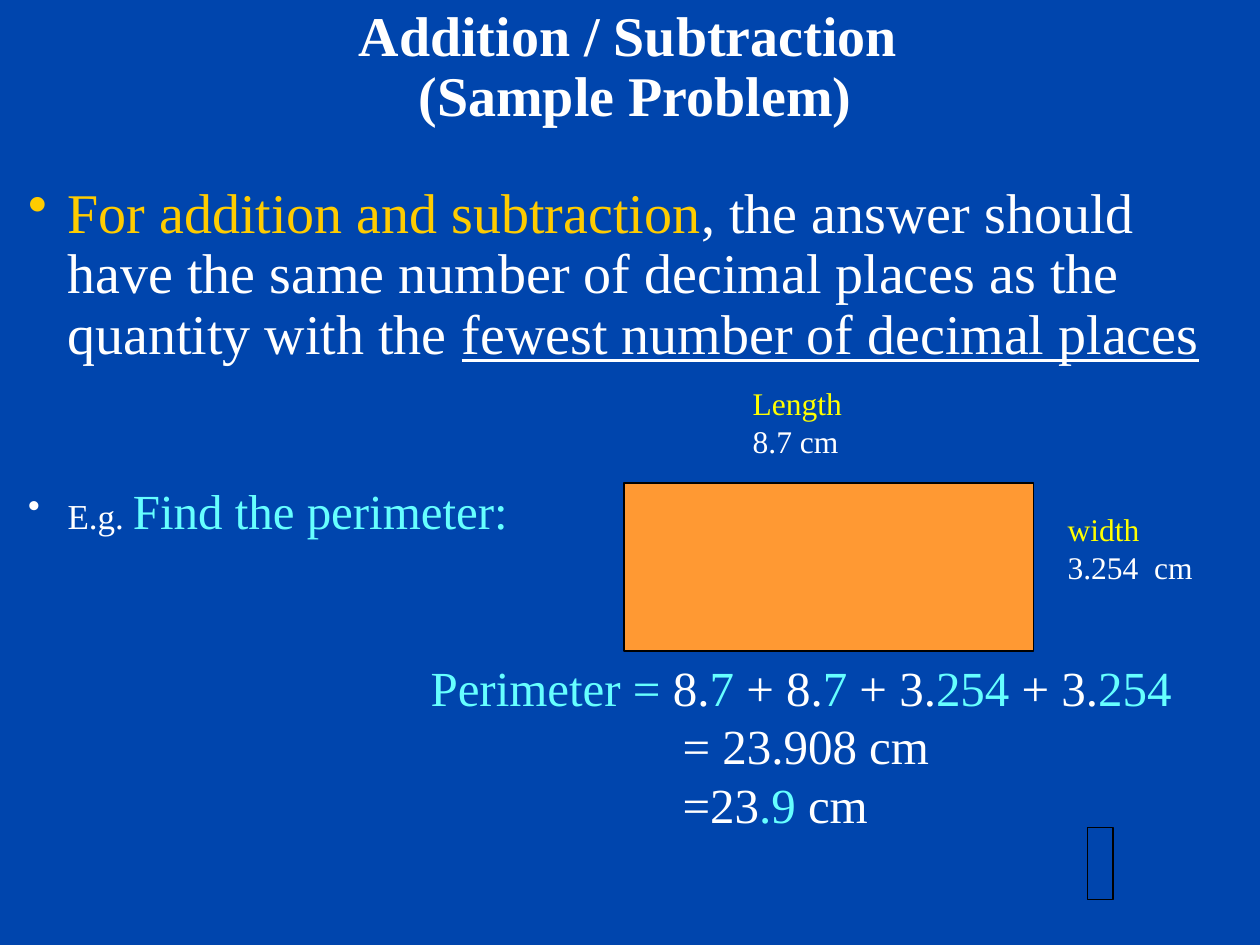
from dataclasses import dataclass

from lxml import etree
from pptx import Presentation
from pptx import util as u
from pptx.dml.color import RGBColor
from pptx.enum import shapes, text
from pptx.oxml import ns

Pt = u.Pt


@dataclass(frozen=True)
class Theme:
    """Hold the colours, font and type sizes of the slide."""
    back: str = "0045AD"
    white: str = "FFFFFF"
    gold: str = "FFCC00"
    aqua: str = "66FFFF"
    yellow: str = "FFFF00"
    orange: str = "FF9933"
    black: str = "000000"
    font: str = "Times New Roman"
    head: int = 32
    main: int = 28
    note: int = 20
    label: int = 18


T = Theme()


def rgb(code):
    """Turn a hex code into a colour."""
    return RGBColor.from_string(code)


def add_run(par, words, color, size, bold=False, under=False):
    """Add one formatted run to a paragraph."""
    run = par.add_run()
    run.text = words
    font = run.font
    font.name, font.size, font.bold = T.font, Pt(size), bold
    font.underline = under
    font.color.rgb = rgb(color)


def set_indent(par, left, first=0):
    """Set the left margin and first-line indent of a paragraph."""
    props = par._p.get_or_add_pPr()
    props.set("marL", str(Pt(left)))
    props.set("indent", str(Pt(first)))


def add_bullet(par, color):
    """Give a paragraph a hanging bullet in a colour."""
    set_indent(par, 22.5, -22.5)
    props = par._p.get_or_add_pPr()
    tint = etree.SubElement(props, ns.qn("a:buClr"))
    etree.SubElement(tint, ns.qn("a:srgbClr"), val=color)
    etree.SubElement(props, ns.qn("a:buChar"), char="•")


def add_text(slide, box, pars, size, wrap=False, align=None, lead=None,
             bold=False, anchor=text.MSO_ANCHOR.TOP):
    """Add a text box from lists of runs and return its paragraphs."""
    frame = slide.shapes.add_textbox(*map(Pt, box)).text_frame
    frame.word_wrap, frame.vertical_anchor = wrap, anchor
    for i, runs in enumerate(pars):
        par = frame.add_paragraph() if i else frame.paragraphs[0]
        par.alignment, par.line_spacing = align, lead
        for words, color, *form in runs:
            add_run(par, words, color, form[0] if form else size, bold,
                    under="under" in form)
    return frame.paragraphs


def add_label(slide, left, top, width, name, value):
    """Add a side name with its measure below."""
    add_text(slide, (left, top, width, 50),
             [[(name, T.yellow)], [(value, T.white)]], T.label)


def add_rect(slide, box, fill=None):
    """Add an outlined rectangle, filled or clear."""
    rect = slide.shapes.add_shape(shapes.MSO_SHAPE.RECTANGLE, *map(Pt, box))
    rect.shadow.inherit = False
    if fill:
        rect.fill.solid()
        rect.fill.fore_color.rgb = rgb(fill)
    else:
        rect.fill.background()
    rect.line.color.rgb = rgb(T.black)
    rect.line.width = Pt(0.75)


def add_title(slide):
    """Add the two-line heading."""
    lines = "Addition / Subtraction ", "(Sample Problem)"
    add_text(slide, (120, 0, 486, 78), [[(line, T.white)] for line in lines],
             T.head, wrap=True, align=text.PP_ALIGN.CENTER, lead=0.9,
             bold=True, anchor=text.MSO_ANCHOR.MIDDLE)


def add_body(slide):
    """Add the rule and the example task as bullets."""
    rule = [("For addition and subtraction", T.gold),
            (", the answer should have the same number of decimal places "
             "as the quantity with the ", T.white),
            ("fewest number of decimal places", T.white, T.head, "under")]
    task = [("E.g. ", T.white, T.note),
            ("Find the perimeter:", T.aqua, T.main)]
    pars = add_text(slide, (9, 102, 711, 475), [rule, task], T.head,
                    wrap=True, lead=0.9)
    for par, gap, color in zip(pars, (12, 69), (T.gold, T.white)):
        par.space_before = Pt(gap)
        add_bullet(par, color)


def add_sum(slide):
    """Add the worked perimeter with its results indented."""
    first = [("Perimeter = ", T.aqua), ("8.", T.white), ("7 ", T.aqua),
             ("+ 8.", T.white), ("7", T.aqua), (" + 3.", T.white),
             ("254 ", T.aqua), ("+ 3.", T.white), ("254", T.aqua)]
    exact = [("= 23.908 cm", T.white)]
    final = [("=23", T.white), (".9 ", T.aqua), ("cm", T.white)]
    pars = add_text(slide, (239, 372, 438, 108), [first, exact, final],
                    T.main)
    for par in pars[1:]:
        set_indent(par, 144)


def main():
    """Build the slide and save it."""
    deck = Presentation()
    deck.slide_width, deck.slide_height = Pt(720), Pt(540)
    slide = deck.slides.add_slide(deck.slide_layouts[6])
    slide.background.fill.solid()
    slide.background.fill.fore_color.rgb = rgb(T.back)
    add_title(slide)
    add_body(slide)
    add_rect(slide, (356.5, 276, 234, 96), T.orange)
    add_label(slide, 603, 288, 86, "width", "3.254  cm")
    add_label(slide, 423, 216, 70, "Length", "8.7 cm")
    add_sum(slide)
    add_rect(slide, (621.5, 473, 14.5, 41))
    deck.save("out.pptx")


if __name__ == "__main__":
    main()
